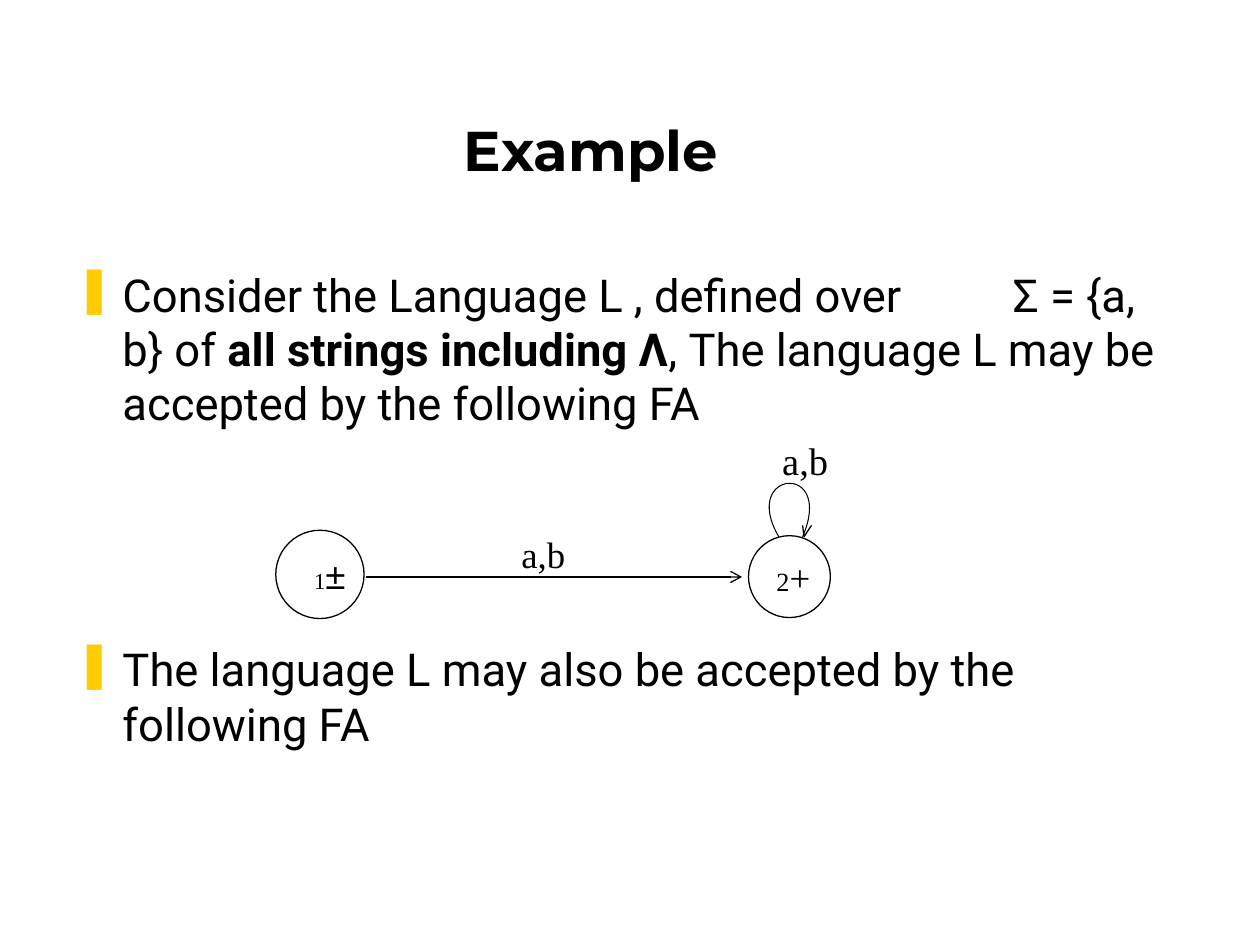
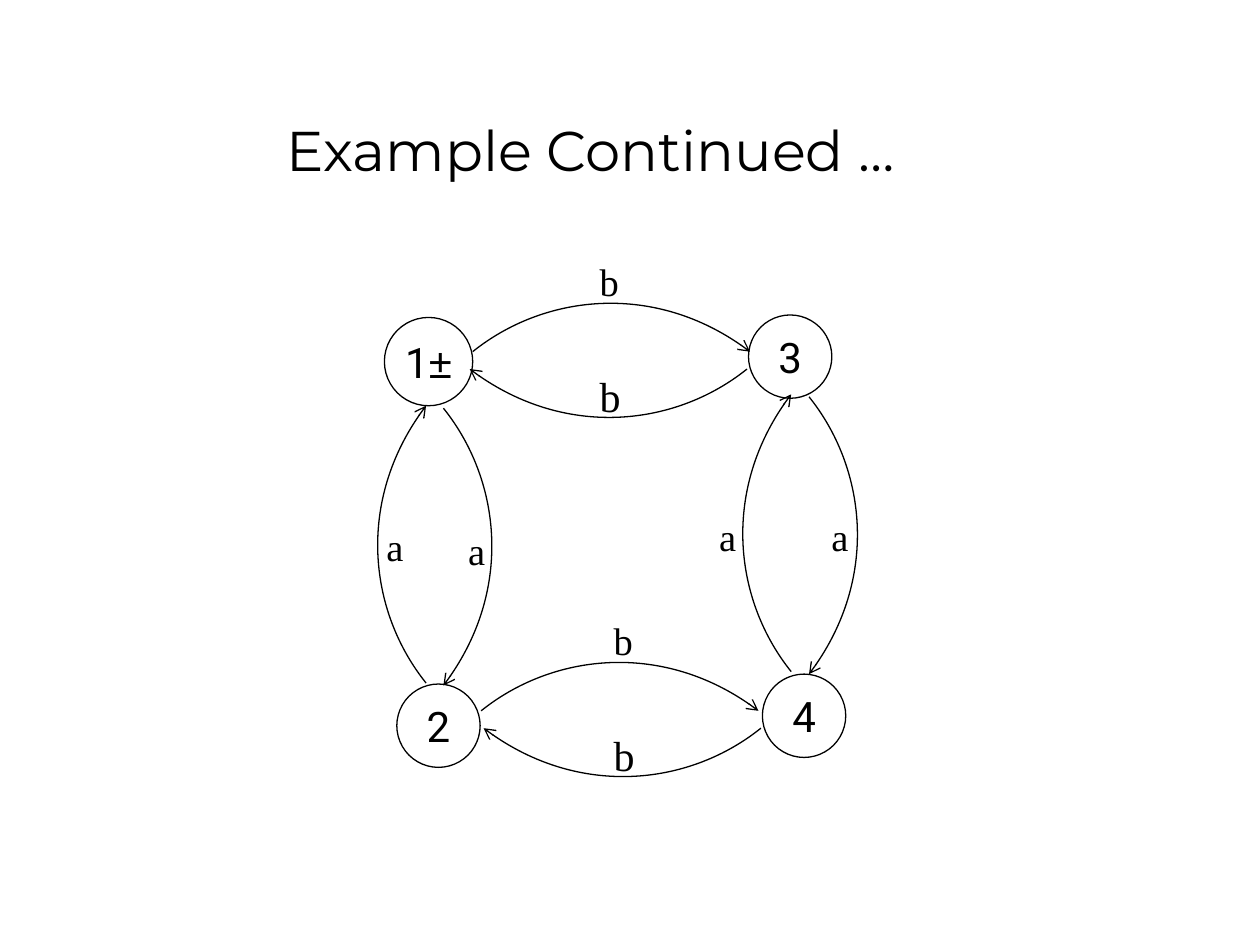
from lxml import etree
from pptx import Presentation
from pptx.dml.color import RGBColor
from pptx.enum.shapes import MSO_CONNECTOR, MSO_SHAPE
from pptx.enum.text import MSO_ANCHOR, PP_ALIGN
from pptx.oxml.ns import qn
from pptx.util import Cm, Pt

BLACK = RGBColor(0x00, 0x00, 0x00)
WHITE = RGBColor(0xFF, 0xFF, 0xFF)
YELLOW = RGBColor(0xFF, 0xCC, 0x00)
TITLE_FONT, BODY_FONT = "Montserrat", "Roboto"
LABEL_FONT, SIGN_FONT = "Times New Roman", "Arial"
CENTER = PP_ALIGN.CENTER
MIDDLE, BOTTOM = MSO_ANCHOR.MIDDLE, MSO_ANCHOR.BOTTOM
ELLIPSE = MSO_SHAPE.OVAL
STRAIGHT = MSO_CONNECTOR.STRAIGHT
TITLE_ONLY = 5

RIGHT, LEFT, UP, DOWN = (1, 0), (-1, 0), (0, -1), (0, 1)
# Distance along the transition and bulge to its left, in cm
ARC = [(0, 0), (1.42, 1.14), (3.73, 1.42), (5.59, 0)]


class Deck:
    def __init__(self):
        self.prs = Presentation()
        self.prs.slide_width, self.prs.slide_height = Cm(25.4), Cm(19.05)
        self.slide = None

    def add_slide(self, title, bold=False):
        self.slide = self.prs.slides.add_slide(self.prs.slide_layouts[TITLE_ONLY])
        sp = self.slide.shapes.title
        sp.left, sp.top, sp.width, sp.height = Cm(1.12), Cm(0.64), Cm(21.59), Cm(3.18)
        sp.text_frame.vertical_anchor = BOTTOM
        p = sp.text_frame.paragraphs[0]
        p.alignment = CENTER
        self.run(p, title, TITLE_FONT, 32, bold)

    def run(self, p, text, font, size, bold=False):
        r = p.add_run()
        r.text = text
        r.font.name, r.font.size, r.font.bold = font, Pt(size), bold
        r.font.color.rgb = BLACK

    def text_box(self, x, y, w, h):
        sp = self.slide.shapes.add_textbox(Cm(x), Cm(y), Cm(w), Cm(h))
        sp.text_frame.word_wrap = True
        return sp.text_frame

    def label(self, text, x, y, size=22, width=1.05):
        tf = self.text_box(x, y, width, 1.02)
        self.run(tf.paragraphs[0], text, LABEL_FONT, size)

    def bullet(self, p, runs, space_before=0, tab=None):
        """Fill a paragraph with (text, bold) runs behind a yellow bar."""
        p.line_spacing, p.space_before = Pt(31), Pt(space_before)
        pPr = p._p.get_or_add_pPr()
        pPr.set("marL", str(Cm(0.95)))
        pPr.set("indent", str(-Cm(0.95)))
        color = etree.SubElement(pPr, qn("a:buClr"))
        etree.SubElement(color, qn("a:srgbClr"), val=str(YELLOW))
        etree.SubElement(pPr, qn("a:buChar"), char="❚")
        if tab:
            tabs = etree.SubElement(pPr, qn("a:tabLst"))
            etree.SubElement(tabs, qn("a:tab"), pos=str(Cm(tab)), algn="l")
        for text, bold in runs:
            self.run(p, text, BODY_FONT, 25.9, bold)

    def state(self, x, y, size, runs, shift=0):
        """Draw a state circle; shift moves its name to the right."""
        sp = self.slide.shapes.add_shape(ELLIPSE, Cm(x), Cm(y), Cm(size), Cm(size))
        sp.shadow.inherit = False
        sp.fill.solid()
        sp.fill.fore_color.rgb = WHITE
        self.stroke(sp.line)
        tf = sp.text_frame
        tf.word_wrap = False
        tf.vertical_anchor = MIDDLE
        tf.margin_left = Cm(2 * shift)
        tf.margin_right = tf.margin_top = tf.margin_bottom = 0
        tf.paragraphs[0].alignment = CENTER
        for text, font, font_size in runs:
            self.run(tf.paragraphs[0], text, font, font_size)

    def stroke(self, line, arrow=False, width=0.75):
        line.color.rgb, line.width = BLACK, Pt(width)
        if arrow:
            etree.SubElement(line._get_or_add_ln(), qn("a:tailEnd"), type="arrow")

    def arrow(self, x1, y1, x2, y2):
        sp = self.slide.shapes.add_connector(STRAIGHT, Cm(x1), Cm(y1), Cm(x2), Cm(y2))
        self.stroke(sp.line, arrow=True)
        etree.SubElement(sp._element.spPr, qn("a:effectLst"))

    def polyline(self, points, arrow=False, width=0.75):
        points = [(Cm(x), Cm(y)) for x, y in points]
        builder = self.slide.shapes.build_freeform(*points[0])
        builder.add_line_segments(points[1:], close=False)
        sp = builder.convert_to_shape()
        sp.shadow.inherit = False
        sp.fill.background()
        self.stroke(sp.line, arrow, width)
        return sp

    def curve(self, points, arrow=False, width=0.75):
        """Draw a cubic curve from its start, two control points and end."""
        sp = self.polyline(points, arrow, width)
        outline = sp._element.find(".//" + qn("a:path"))
        bezier = etree.SubElement(outline, qn("a:cubicBezTo"))
        for segment in outline.findall(qn("a:lnTo")):
            bezier.append(segment[0])
            outline.remove(segment)

    def transition(self, x, y, direction):
        ux, uy = direction
        self.curve([(x + a * ux + b * uy, y + a * uy - b * ux) for a, b in ARC],
                   arrow=True)


def example(deck):
    deck.add_slide("Example", bold=True)
    tf = deck.text_box(1.27, 5.26, 22.7, 11.58)
    deck.bullet(tf.paragraphs[0], [
        ("Consider the Language L , defined over \tΣ = {a, b} of ", False),
        ("all strings including Λ", True),
        (", The language L may be accepted by the following FA", False),
    ], tab=18.9)
    deck.bullet(tf.add_paragraph(), [
        ("The language L may also be accepted by the following FA", False),
    ], space_before=121)

    deck.state(5.56, 10.69, 1.78,
               [("1", LABEL_FONT, 13), ("±", SIGN_FONT, 21)], shift=0.2)
    deck.state(15.09, 10.8, 1.65,
               [("2", LABEL_FONT, 15), ("+", LABEL_FONT, 21)], shift=0.08)
    deck.arrow(7.37, 11.63, 14.96, 11.63)
    deck.label("a,b", 10.26, 10.59, 21, width=2.1)
    deck.curve([(15.7, 10.82), (14.91, 9.47), (16.84, 9.3), (16.18, 10.82)], width=0.6)
    deck.polyline([(16.18, 10.59), (16.21, 10.82), (16.36, 10.59)])
    deck.label("a,b", 15.52, 8.69, width=2.1)


def example_continued(deck):
    deck.add_slide("Example Continued …")
    for name, x, y, size in [("1", 7.75, 6.4, 1.78), ("3", 15.09, 6.35, 1.68),
                             ("2", 8, 13.79, 1.68), ("4", 15.37, 13.59, 1.68)]:
        runs = [(name, BODY_FONT, 24)]
        if name == "1":
            runs.append(("±", SIGN_FONT, 24))
        deck.state(x, y, size, runs)

    for x, y, direction in [
        (9.53, 7.09, RIGHT), (15.06, 7.44, LEFT),
        (9.7, 14.33, RIGHT), (15.34, 14.68, LEFT),
        (8.59, 13.77, UP), (8.94, 8.23, DOWN),
        (15.95, 13.54, UP), (16.31, 8, DOWN),
    ]:
        deck.transition(x, y, direction)

    for x, y in [(11.84, 5.08), (12.12, 12.32)]:
        deck.label("b", x, y)
        deck.label("b", x, y + 2.26, 24, width=1.24)
    for x, y in [(7.54, 10.41), (9.19, 10.49), (14.25, 10.21), (16.51, 10.21)]:
        deck.label("a", x, y)


def main():
    deck = Deck()
    example(deck)
    example_continued(deck)
    deck.prs.save("out.pptx")


if __name__ == "__main__":
    main()
